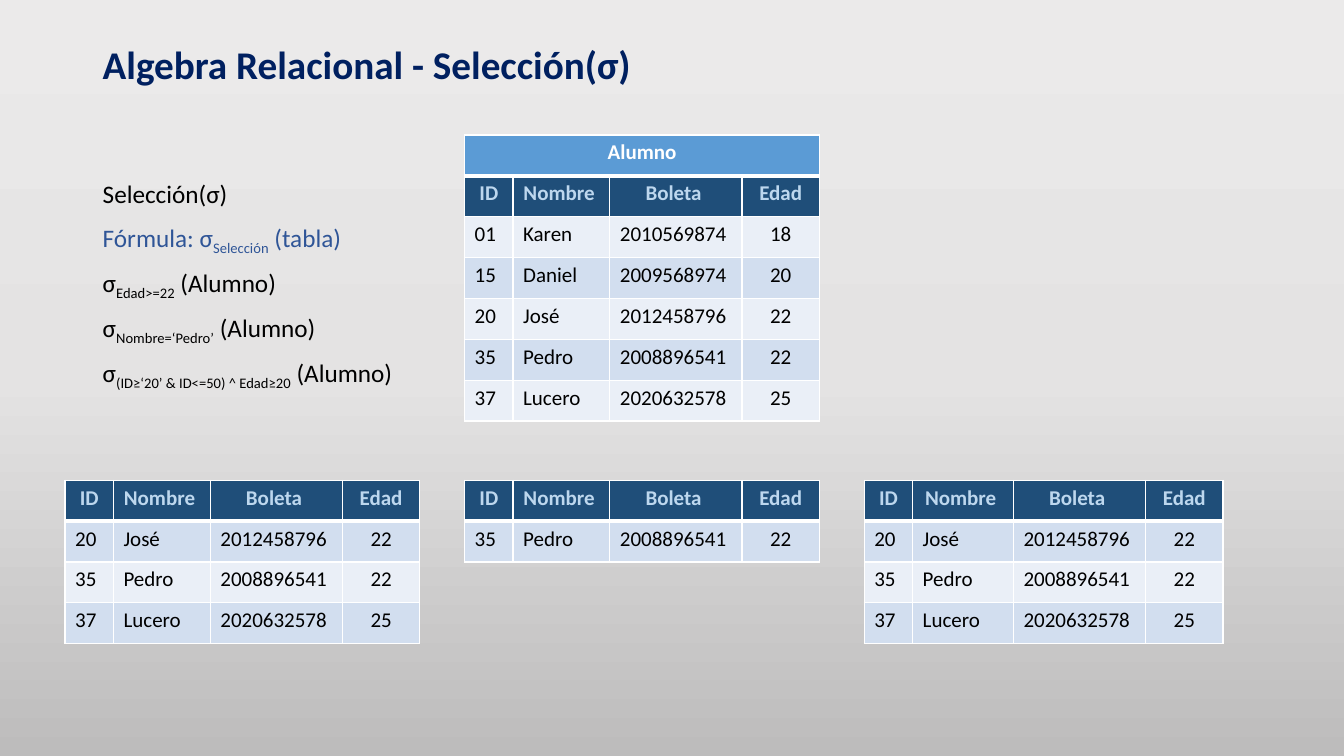
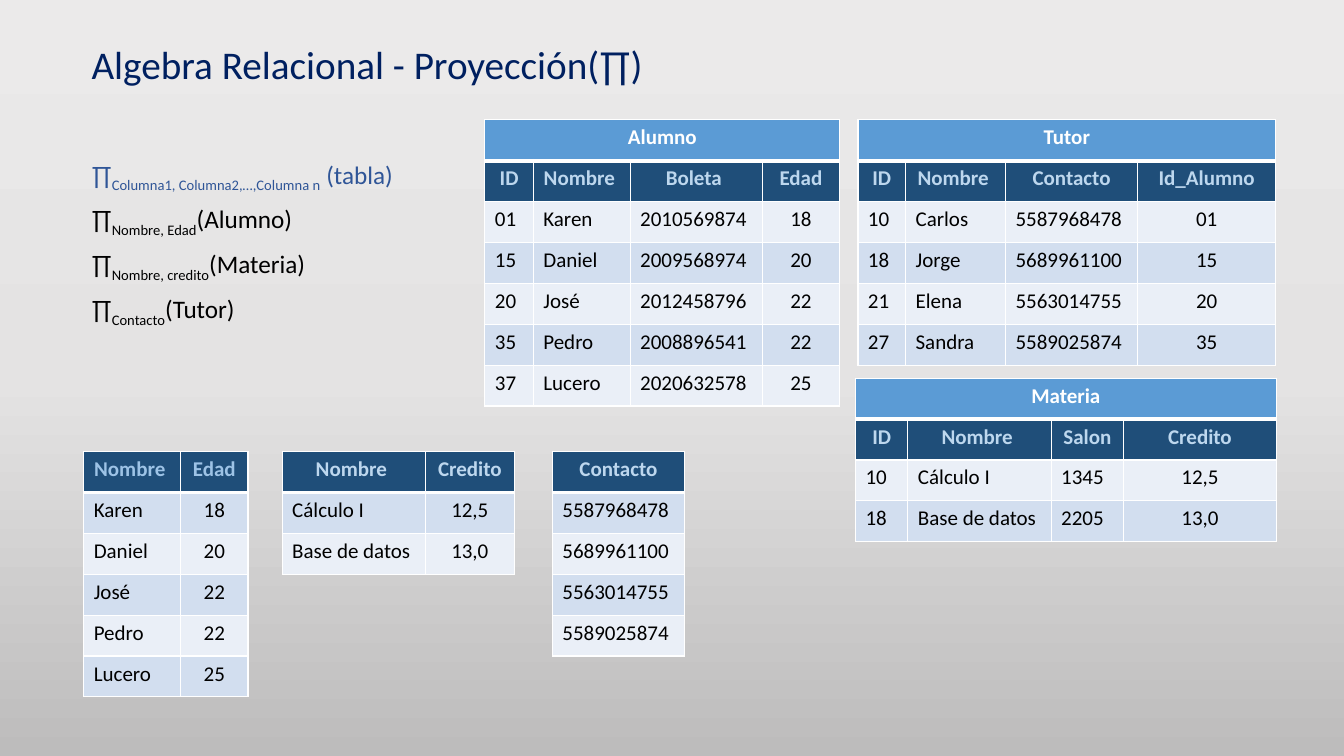
from copy import deepcopy

from lxml.etree import SubElement
from pptx import Presentation
from pptx.dml.color import RGBColor
from pptx.enum.text import PP_ALIGN as Align
from pptx.oxml.ns import qn
from pptx.util import Cm, Pt

FONT = "Calibri"
COLORS = {
    "title": "002060",
    "formula": "2F5597",
    "text": "000000",
    "white": "FFFFFF",
    "caption_fill": "5B9BD5",
    "header_fill": "1F4E79",
    "header_text": "BDD7EE",
    "header_text_strong": "9DC3E6",
    "band_dark": "D2DEEF",
    "band_light": "EAEFF7",
}
BACKGROUND = ((0, "EBEAEA"), (0.5, "E4E3E3"), (1, "BDBCBC"))
ROW_HEIGHT = 1.03

# Relations used in the examples
ALUMNO_HEADER = ("ID", "Nombre ", "Boleta ", "Edad")
ALUMNO = [
    ("01", "Karen", "2010569874", "18"),
    ("15", "Daniel", "2009568974", "20"),
    ("20", "José", "2012458796", "22"),
    ("35", "Pedro", "2008896541", "22"),
    ("37", "Lucero", "2020632578", "25"),
]
ALUMNO_WIDTHS = (1.22, 2.44, 3.33, 1.95)
TUTOR_HEADER = ("ID", "Nombre ", "Contacto", "Id_Alumno")
TUTOR = [
    ("10", "Carlos", "5587968478", "01"),
    ("18", "Jorge", "5689961100", "15"),
    ("21", "Elena", "5563014755", "20"),
    ("27", "Sandra", "5589025874", "35"),
]
MATERIA_HEADER = ("ID", "Nombre ", "Salon", "Credito")
MATERIA = [
    ("10", "Cálculo I", "1345", "12,5"),
    ("18", "Base de datos", "2205", "13,0"),
]


def add_text(paragraph, text, size=18, color="text", bold=False, subscript=False):
    run = paragraph.add_run()
    run.text = text
    run.font.name = FONT
    run.font.size = Pt(size)
    run.font.bold = bold
    run.font.color.rgb = RGBColor.from_string(COLORS[color])
    if subscript:
        run.font._element.set("baseline", "-25000")


def set_borders(cell, top, bottom):
    """White borders: one point at the sides, given widths above and below."""
    properties = cell._tc.get_or_add_tcPr()
    sides = (("a:lnL", 1), ("a:lnR", 1), ("a:lnT", top), ("a:lnB", bottom))
    for position, (tag, width) in enumerate(sides):
        line = SubElement(properties, qn(tag), w=str(Pt(width)))
        fill = SubElement(line, qn("a:solidFill"))
        SubElement(fill, qn("a:srgbClr"), val=COLORS["white"])
        properties.insert(position, line)


def project(rows, *columns):
    return [tuple(row[column] for column in columns) for row in rows]


class Deck:
    def __init__(self):
        self.presentation = Presentation()
        self.presentation.slide_width = Cm(33.87)
        self.presentation.slide_height = Cm(19.05)
        self.slide = None
        self.set_background()

    def set_background(self):
        master = self.presentation.slide_master
        fill = master.background.fill
        fill.gradient()
        fill.gradient_angle = 270
        stops = master.element.xpath(".//p:bg//a:gsLst")[0]
        stops.insert(1, deepcopy(stops[0]))
        for stop, (position, color) in zip(fill.gradient_stops, BACKGROUND):
            stop.position = position
            stop.color.rgb = RGBColor.from_string(color)

    def add_slide(self):
        self.slide = self.presentation.slides.add_slide(
            self.presentation.slide_layouts[6])

    def text_frame(self, left, top, width, height):
        box = self.slide.shapes.add_textbox(
            Cm(left), Cm(top), Cm(width), Cm(height))
        box.text_frame.word_wrap = True
        return box.text_frame

    def title(self, text, left, bold=False):
        paragraph = self.text_frame(left, 1.02, 29.2, 1.4).paragraphs[0]
        paragraph.line_spacing = 0.9
        add_text(paragraph, text, size=28, color="title", bold=bold)

    def formulas(self, lines, left, top, height):
        """Each line is (colour, text, subscript, text)."""
        frame = self.text_frame(left, top, 9.2, height)
        for index, (color, start, subscript, end) in enumerate(lines):
            paragraph = frame.add_paragraph() if index else frame.paragraphs[0]
            paragraph.line_spacing = 0.9
            paragraph.space_before = Pt(10 if index else 0)
            add_text(paragraph, start, color=color)
            if subscript:
                add_text(paragraph, subscript, color=color, subscript=True)
                add_text(paragraph, end, color=color)

    def table(self, left, top, widths, header, rows, caption=None,
              header_text="header_text"):
        # Every line: cells, fill, text colour (body lines alternate by index)
        lines = [(header, "header_fill", header_text)]
        if caption:
            lines.insert(0, ([caption] + [""] * (len(widths) - 1),
                             "caption_fill", "white"))
        heads = len(lines)
        for index, row in enumerate(rows, heads):
            lines.append((row, "band_dark" if index % 2 else "band_light", "text"))

        table = self.slide.shapes.add_table(
            len(lines), len(widths), Cm(left), Cm(top),
            Cm(sum(widths)), Cm(ROW_HEIGHT * len(lines))).table
        table.first_row = table.horz_banding = False
        for column, width in zip(table.columns, widths):
            column.width = Cm(width)
        for index, (values, fill, color) in enumerate(lines):
            table.rows[index].height = Cm(ROW_HEIGHT)
            for place, value in enumerate(values):
                cell = table.cell(index, place)
                cell.fill.solid()
                cell.fill.fore_color.rgb = RGBColor.from_string(COLORS[fill])
                set_borders(cell, top=3 if index == 1 else 1,
                            bottom=3 if index == 0 else 1)
                if not value:
                    continue
                paragraph = cell.text_frame.paragraphs[0]
                is_head = index < heads
                is_last = 0 < place == len(widths) - 1
                paragraph.alignment = (
                    Align.CENTER if is_head or is_last else Align.LEFT)
                add_text(paragraph, value, size=15, color=color, bold=is_head)
        if caption:
            table.cell(0, 0).merge(table.cell(0, len(widths) - 1))


def selection_slide(deck):
    deck.add_slide()
    deck.title("Algebra Relacional - Selección(σ)", left=2.34, bold=True)
    deck.formulas([
        ("text", "Selección(σ)", "", ""),
        ("formula", "Fórmula: σ", "Selección", " (tabla)"),
        ("text", "σ", "Edad>=22", " (Alumno)"),
        ("text", "σ", "Nombre=‘Pedro’", " (Alumno)"),
        ("text", "σ", "(ID≥‘20’ & ID<=50) ^ Edad≥20", " (Alumno)"),
    ], left=2.34, top=4.45, height=5.9)
    deck.table(11.71, 3.4, ALUMNO_WIDTHS, ALUMNO_HEADER, ALUMNO, caption="Alumno")

    # One result for each selection, from left to right
    wide_name = (1.22, 2.54, 3.33, 1.95)
    results = (
        (ALUMNO_WIDTHS, [row for row in ALUMNO if row[3] >= "22"]),
        (ALUMNO_WIDTHS, [row for row in ALUMNO if row[1] == "Pedro"]),
        (wide_name, [row for row in ALUMNO
                     if "20" <= row[0] <= "50" and row[3] >= "20"]),
    )
    for index, (widths, rows) in enumerate(results):
        deck.table(1.64 + 10.07 * index, 12.1, widths, ALUMNO_HEADER, rows)


def projection_slide(deck):
    deck.add_slide()
    deck.title("Algebra Relacional - Proyección(∏)", left=2.06)
    deck.formulas([
        ("formula", "∏", "Columna1, Columna2,…,Columna n", " (tabla)"),
        ("text", "∏", "Nombre, Edad", "(Alumno)"),
        ("text", "∏", "Nombre, credito", "(Materia)"),
        ("text", "∏", "Contacto", "(Tutor)"),
    ], left=2.06, top=3.89, height=4.8)

    # Source tables
    deck.table(12.22, 3.02, ALUMNO_WIDTHS, ALUMNO_HEADER, ALUMNO, caption="Alumno")
    deck.table(21.62, 3.02, (1.2, 2.52, 3.33, 3.48), TUTOR_HEADER, TUTOR,
               caption="Tutor")
    deck.table(21.56, 9.53, (1.32, 3.61, 1.83, 3.84), MATERIA_HEADER, MATERIA,
               caption="Materia")

    # One result for each projection
    results_top = 11.38
    deck.table(2.11, results_top, (2.44, 1.7), ("Nombre ", "Edad"),
               project(ALUMNO, 1, 3), header_text="header_text_strong")
    deck.table(7.11, results_top, (3.61, 2.24), ("Nombre ", "Credito"),
               project(MATERIA, 1, 3))
    deck.table(13.92, results_top, (3.33,), ("Contacto",), project(TUTOR, 2))


def main():
    deck = Deck()
    selection_slide(deck)
    projection_slide(deck)
    deck.presentation.save("out.pptx")


if __name__ == "__main__":
    main()
